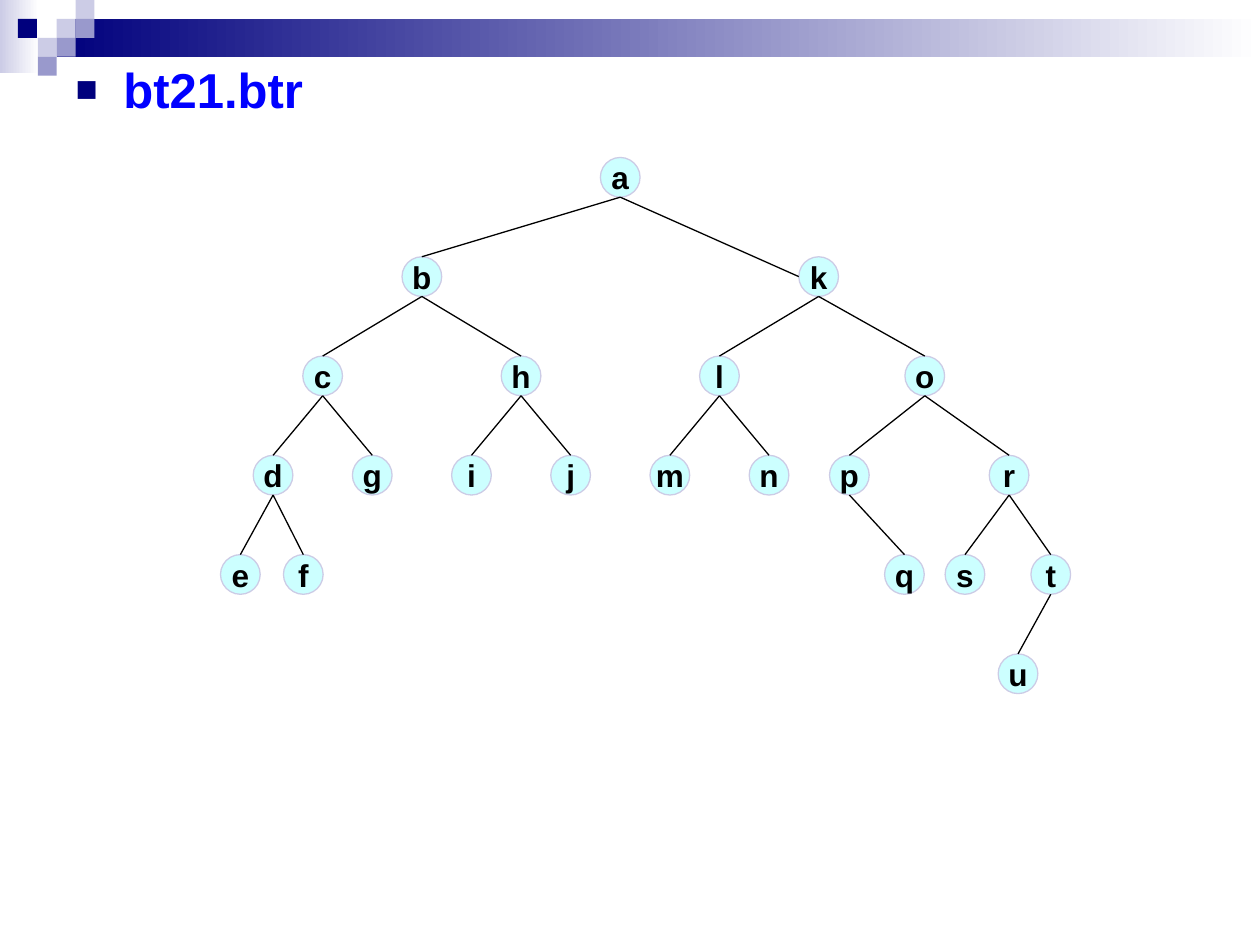
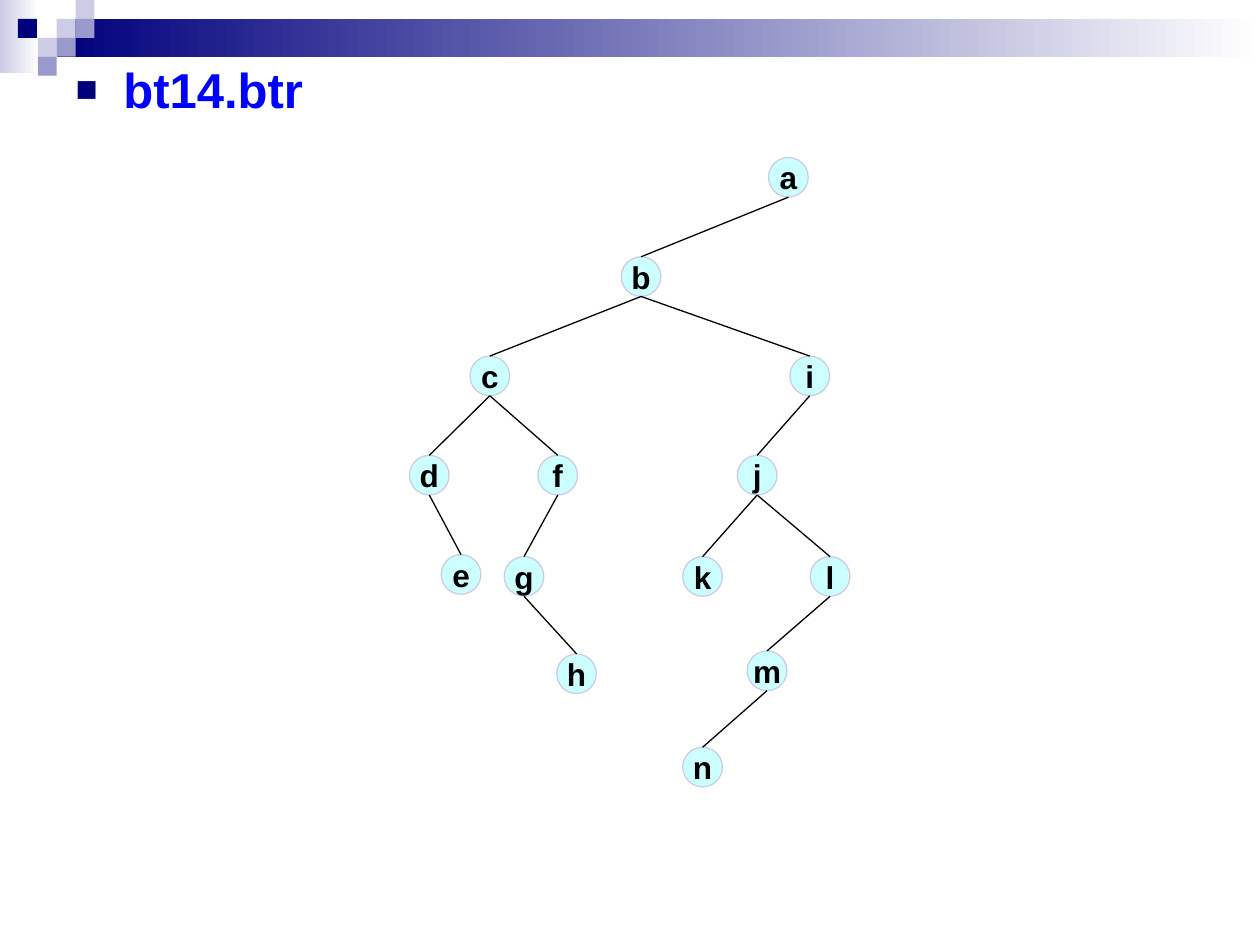
"""Build two slides that each show a named binary tree."""
from dataclasses import dataclass

from lxml import etree
from pptx import Presentation
from pptx import util as u
from pptx.dml.color import RGBColor
from pptx.enum import shapes, text
from pptx.oxml import ns, parse_xml


@dataclass(frozen=True)
class Theme:
    font: str = "Arial"
    navy: str = "00007D"
    violet: str = "9999CC"
    lilac: str = "CCCCE6"
    white: str = "FFFFFF"
    heading: str = "0000FF"
    node: str = "CCFFFF"
    ink: str = "000000"
    heading_size: int = 28
    node_size: int = 18
    line_width: float = 0.75


theme = Theme()
rgb = RGBColor.from_string

COLUMN = (6.34 - 2.01) / 11
ROW = (5.19 - 1.25) / 5
TREE_LEFT, TREE_TOP = 2.01, 1.25
DIAMETER = 0.315
TILE = 0.15

TREES = {
    "bt21.btr": [
        ("a", None, 7, 0), ("b", "a", 3, 1), ("c", "b", 1, 2), ("d", "c", 0, 3),
        ("e", "d", -0.66, 4), ("f", "d", 0.61, 4), ("g", "c", 2, 3),
        ("h", "b", 5, 2), ("i", "h", 4, 3), ("j", "h", 6, 3),
        ("k", "a", 11, 1), ("l", "k", 9, 2), ("m", "l", 8, 3), ("n", "l", 10, 3),
        ("o", "k", 13.14, 2), ("p", "o", 11.62, 3), ("q", "p", 12.73, 4),
        ("r", "o", 14.84, 3), ("s", "r", 13.95, 4), ("t", "r", 15.68, 4),
        ("u", "t", 15.02, 5),
    ],
    "bt14.btr": [
        ("a", None, 10.39, 0), ("b", "a", 7.42, 1), ("c", "b", 4.37, 2),
        ("d", "c", 3.15, 3), ("e", "d", 3.79, 4), ("f", "c", 5.74, 3),
        ("g", "f", 5.06, 4.02), ("h", "g", 6.12, 5), ("i", "b", 10.82, 2),
        ("j", "i", 9.76, 3), ("k", "j", 8.66, 4.02), ("l", "j", 11.23, 4.02),
        ("m", "l", 9.96, 4.97), ("n", "m", 8.66, 5.94),
    ],
}
JOINED_AT_LEFT = {("bt21.btr", "k")}

BANDS = [
    (0, 0, 0.31, 0.58, theme.lilac),
    (0.45, TILE, 9.55, 2 * TILE, theme.navy),
]
TILES = [
    (3, 1, theme.lilac), (4, 0, theme.lilac), (4, 1, theme.violet),
    (2, 2, theme.lilac), (0.95, 1, theme.navy), (3, 2, theme.violet),
    (2, 3, theme.violet),
]


def add_filled(slide, preset, left, top, width, height, color):
    """Add a flat preset shape with a solid fill and no outline."""
    shape = slide.shapes.add_shape(
        preset, *(u.Inches(length) for length in (left, top, width, height)))
    shape.shadow.inherit = False
    shape.fill.solid()
    shape.fill.fore_color.rgb = rgb(color)
    shape.line.fill.background()
    return shape


def format_paragraph(paragraph, size, color, alignment):
    """Set the bold type, colour and alignment of a paragraph."""
    paragraph.alignment = alignment
    paragraph.font.name = theme.font
    paragraph.font.size = u.Pt(size)
    paragraph.font.bold = True
    paragraph.font.color.rgb = rgb(color)


deck = Presentation()
deck.slide_width, deck.slide_height = u.Inches(10), u.Inches(7.5)
layout = deck.slide_layouts.get_by_name("Title Only")
slides = [deck.slides.add_slide(layout) for _ in TREES]

decoration = []
for left, top, width, height, color in BANDS:
    band = add_filled(slides[0], shapes.MSO_SHAPE.RECTANGLE, left, top, width, height, color)
    band.fill.gradient()
    band.fill.gradient_angle = 0
    for stop, position, shade in zip(band.fill.gradient_stops, (0, 1), (color, theme.white)):
        stop.position = position
        stop.color.rgb = rgb(shade)
    decoration.append(band)
for column, row, color in TILES:
    decoration.append(add_filled(slides[0], shapes.MSO_SHAPE.RECTANGLE,
                                 column * TILE, row * TILE, TILE, TILE, color))
for part in decoration:
    layout.shapes.element.append(part.element)

for slide, (name, nodes) in zip(slides, TREES.items()):
    heading = slide.shapes.title
    heading.left, heading.top = u.Inches(0.5), u.Inches(0.42)
    heading.width, heading.height = u.Inches(9.08), u.Inches(7.08)
    frame = heading.text_frame
    frame.text = name
    frame.word_wrap = True
    frame.auto_size = text.MSO_AUTO_SIZE.NONE
    frame.vertical_anchor = text.MSO_ANCHOR.TOP
    line = frame.paragraphs[0]
    format_paragraph(line, theme.heading_size, theme.heading, text.PP_ALIGN.LEFT)
    bullet = parse_xml(
        f'<a:pPr {ns.nsdecls("a")}><a:spcBef><a:spcPct val="20000"/></a:spcBef>'
        f'<a:buClr><a:srgbClr val="{theme.navy}"/></a:buClr><a:buSzPct val="75000"/>'
        f'<a:buFont typeface="{theme.font}"/><a:buChar char="■"/></a:pPr>')
    properties = line._p.get_or_add_pPr()
    properties.set("marL", str(u.Inches(0.38)))
    properties.set("indent", str(-u.Inches(0.38)))
    for index, setting in enumerate(list(bullet)):
        properties.insert(index, setting)

    corners = {}
    for letter, parent, column, row in nodes:
        left, top = TREE_LEFT + column * COLUMN, TREE_TOP + row * ROW
        corners[letter] = left, top
        node = add_filled(slide, shapes.MSO_SHAPE.OVAL, left, top, DIAMETER, DIAMETER, theme.node)
        node.line.color.rgb = rgb(theme.lilac)
        node.line.width = u.Pt(theme.line_width)
        label = node.text_frame
        label.text = letter
        label.word_wrap = False
        label.vertical_anchor = text.MSO_ANCHOR.MIDDLE
        label.margin_left = label.margin_right = label.margin_top = label.margin_bottom = 0
        format_paragraph(label.paragraphs[0], theme.node_size, theme.ink, text.PP_ALIGN.CENTER)
        if parent is None:
            continue
        parent_left, parent_top = corners[parent]
        start = parent_left + DIAMETER / 2, parent_top + DIAMETER
        end = left + DIAMETER / 2, top
        if (name, letter) in JOINED_AT_LEFT:
            end = left, top + DIAMETER / 2
        branch = slide.shapes.add_connector(
            shapes.MSO_CONNECTOR.STRAIGHT, *(u.Inches(length) for length in start + end))
        branch.line.color.rgb = rgb(theme.ink)
        branch.line.width = u.Pt(theme.line_width)
        etree.SubElement(branch.element.spPr, ns.qn("a:effectLst"))

deck.save("out.pptx")
